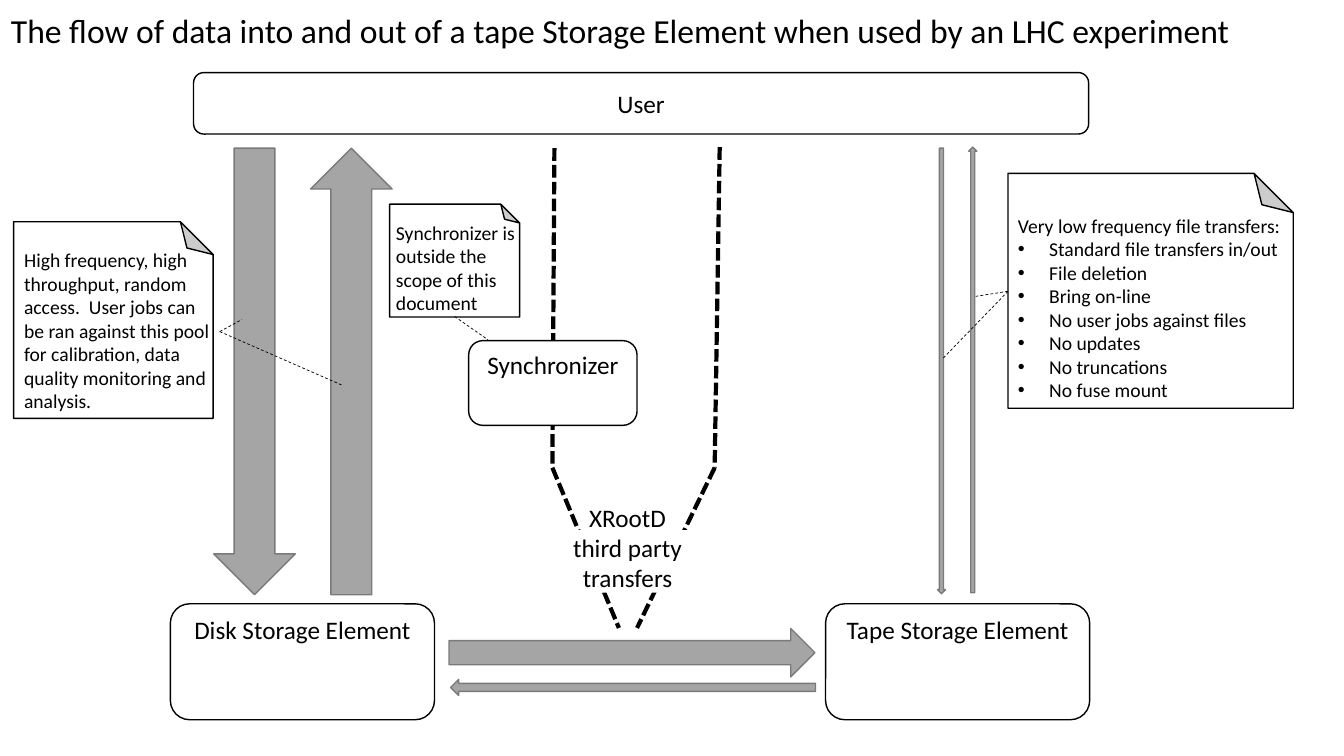
from lxml import etree
from pptx import Presentation
from pptx import util as u
from pptx.dml.color import RGBColor
from pptx.enum import dml, shapes, text
from pptx.oxml.ns import qn

BLACK = RGBColor(0, 0, 0)
WHITE = RGBColor(255, 255, 255)
GREY = RGBColor(0xA5, 0xA5, 0xA5)
EDGE = RGBColor(0x7A, 0x7A, 0x7A)

KIND = shapes.MSO_SHAPE
DASH = dml.MSO_LINE
LEFT, MID = text.PP_ALIGN.LEFT, text.PP_ALIGN.CENTER
DOWN, UP, RIGHT, BACK = 0, 180, 270, 90


class Board:
    """Draws on a grid of square cells, each a tenth of an inch."""
    cell = u.Inches(0.1)
    font = "Calibri"

    def __init__(self, cols, rows):
        self.deck = Presentation()
        self.deck.slide_width = self.size(cols)
        self.deck.slide_height = self.size(rows)
        self.slide = self.deck.slides.add_slide(self.deck.slide_layouts[6])

    def size(self, cells):
        return u.Emu(round(cells * self.cell))

    def fill(self, frame, lines, pt, align, bullets=False):
        """Put lines of text in a frame; bullets mark all but the first."""
        for i, line in enumerate(lines):
            para = frame.paragraphs[0] if i == 0 else frame.add_paragraph()
            para.alignment = align
            if bullets and i:
                props = para._p.get_or_add_pPr()
                props.set("marL", str(self.size(3.1)))
                props.set("indent", str(-self.size(3.1)))
                etree.SubElement(props, qn("a:buFont")).set("typeface", "Arial")
                etree.SubElement(props, qn("a:buChar")).set("char", "•")
            run = para.add_run()
            run.text = line
            run.font.name, run.font.size = self.font, u.Pt(pt)
            run.font.color.rgb = BLACK

    def shape(self, kind, box, fill=WHITE, edge=BLACK, turn=0):
        """Box is what shows on the slide, after any quarter turns."""
        x, y, w, h = box
        if turn % 180:
            x, y, w, h = x + (w - h) / 2, y + (h - w) / 2, h, w
        item = self.slide.shapes.add_shape(kind, *map(self.size, (x, y, w, h)))
        item.rotation = turn
        item.shadow.inherit = False
        item.fill.solid()
        item.fill.fore_color.rgb = fill
        if edge is None:
            item.line.fill.background()
        else:
            item.line.color.rgb = edge
            item.line.width = u.Pt(1)
        return item

    def node(self, label, box, anchor=text.MSO_ANCHOR.TOP):
        item = self.shape(KIND.ROUNDED_RECTANGLE, box)
        item.text_frame.word_wrap = True
        item.text_frame.vertical_anchor = anchor
        self.fill(item.text_frame, [label], 18, MID)

    def note(self, box):
        return self.shape(KIND.FOLDED_CORNER, box, turn=270)

    def arrow(self, way, box):
        self.shape(KIND.DOWN_ARROW, box, GREY, EDGE, way)

    def label(self, lines, box, pt=14, align=LEFT, wrap=False, bullets=False):
        item = self.slide.shapes.add_textbox(*map(self.size, box))
        item.text_frame.word_wrap = wrap
        item.text_frame.auto_size = text.MSO_AUTO_SIZE.SHAPE_TO_FIT_TEXT
        self.fill(item.text_frame, lines, pt, align, bullets)

    def line(self, start, end, pt, dash, source=None, site=0):
        ends = [self.size(n) for n in (*start, *end)]
        item = self.slide.shapes.add_connector(
            shapes.MSO_CONNECTOR.STRAIGHT, *ends)
        if source is not None:
            # Sites turn with the note, so its visible end is set again.
            item.begin_connect(source, site)
            item.begin_x, item.begin_y, item.end_x, item.end_y = ends
        item.line.color.rgb = BLACK
        item.line.width = u.Pt(pt)
        item.line.dash_style = dash
        etree.SubElement(item._element.spPr, qn("a:effectLst"))

    def route(self, start, end):
        self.line(start, end, 3, DASH.SQUARE_DOT)

    def link(self, start, end, source=None, site=0):
        self.line(start, end, 0.5, DASH.DASH, source, site)


def main():
    board = Board(133.33, 75)
    scope = board.note((38.65, 20.25, 12.9, 11.2))

    for name, left in (("Tape", 81.9), ("Disk", 16.9)):
        board.node(f"{name} Storage Element", (left, 59.9, 26.2, 11.5))
    board.node("User", (19.2, 7.2, 88.8, 6.1), text.MSO_ANCHOR.MIDDLE)

    rare = board.note((100, 17.2, 28.3, 23.3))
    board.label(["Very low frequency file transfers:",
                 "Standard file transfers in/out", "File deletion",
                 "Bring on-line", "No user jobs against files",
                 "No updates", "No truncations", "No fuse mount"],
                (100, 20.7, 28.3, 19.9), bullets=True)

    # Each route runs from the user, bends, and meets the disk-to-tape arrow.
    routes = (((55, 14.7), (54.8, 46.4), (61.4, 62.3)),
              ((71.4, 14.6), (70.9, 46.4), (63.2, 62.3)))
    for top, bend, _ in routes:
        board.route(top, bend)
    board.node("Synchronizer", (46.5, 33.8, 16.7, 8.4))

    for way, box in ((DOWN, (21.2, 14.7, 8.1, 44.3)),
                     (UP, (30.8, 14.7, 8.1, 44.3)),
                     (RIGHT, (44.55, 62.35, 36.3, 4.8)),
                     (BACK, (44.7, 67.4, 36.2, 1.6)),
                     (DOWN, (93, 14.7, 0.8, 44.2)),
                     (UP, (96.1, 14.6, 0.8, 44.2))):
        board.arrow(way, box)
    for _, bend, foot in routes:
        board.route(bend, foot)

    board.label(["The flow of data into and out of a tape Storage Element "
                 "when used by an LHC experiment"],
                (0.1, 0.5, 124.1, 5), 24)

    board.note((1.35, 22, 19.8, 19.5))
    board.label(["High frequency, high throughput, random access.  User jobs "
                 "can be ran against this pool for calibration, data quality "
                 "monitoring and analysis."],
                (1.4, 24.1, 20.5, 17.5), wrap=True)

    for end in ((96.8, 29.4), (93.5, 35.6)):
        board.link((100, 28.9), end, rare, 0)
    for end in ((24, 31.7), (33.9, 38.2)):
        board.link((21.8, 32.9), end)

    board.shape(KIND.RECTANGLE, (56.5, 52.6, 12.2, 6.2), edge=None)
    board.label(["XRootD", "third party", "transfers"],
                (55.8, 49.3, 12.9, 10.1), 18, MID)
    board.link((45.1, 31.4), (48.4, 33.7), scope, 1)
    board.label(["Synchronizer is", "outside the", "scope of this",
                 "document"], (38.3, 21.4, 13.9, 10.4))
    board.deck.save("out.pptx")


if __name__ == "__main__":
    main()
